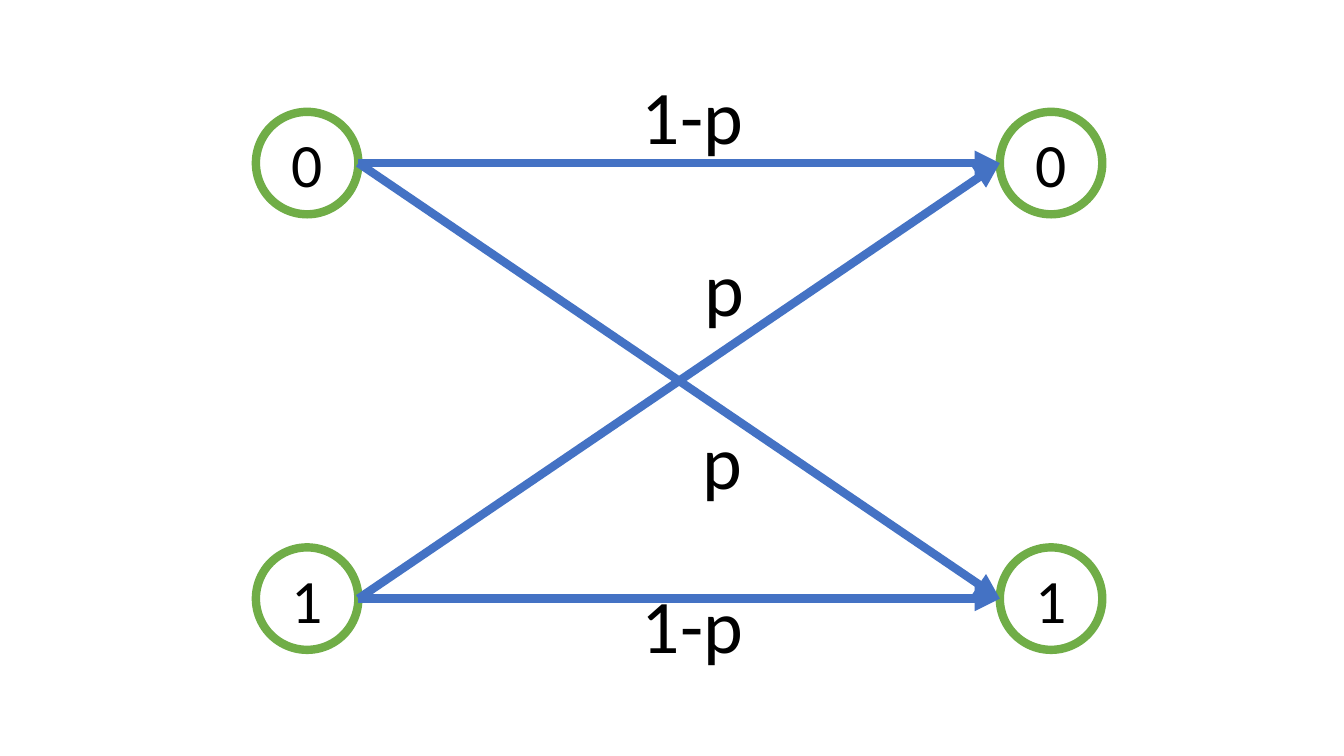
"""Build a slide with the binary symmetric channel diagram."""
from dataclasses import dataclass

from lxml import etree
from pptx import Presentation
from pptx import util as u
from pptx.dml import color
from pptx.enum import shapes, text
from pptx.oxml import ns


@dataclass(frozen=True)
class Theme:
    font: str = "Calibri"
    ink: str = "000000"
    paper: str = "FFFFFF"
    ring: str = "70AD47"
    arrow: str = "4472C4"
    stroke: float = 6
    symbol_size: float = 44
    label_size: float = 54


THEME = Theme()
NODE_SIZE = 73.2
INPUT_LEFT, OUTPUT_LEFT = 182.8, 714.2
SYMBOL_TOPS = {"0": 79.9, "1": 391}
LABEL_HEIGHT = 72.7
LABELS = [
    ("1-p", 451.4, 45.4, 87.8),
    ("1-p", 451.4, 409, 87.8),
    ("p", 496.1, 168.5, 43.2),
    ("p", 494.6, 292.3, 43.2),
]


def rgb(value):
    return color.RGBColor.from_string(value)


def style_line(line, shade):
    line.color.rgb = rgb(shade)
    line.width = u.Pt(THEME.stroke)


def write(frame, words, size):
    frame.text = words
    for para in frame.paragraphs:
        for span in para.runs:
            span.font.name = THEME.font
            span.font.size = u.Pt(size)
            span.font.color.rgb = rgb(THEME.ink)


def add_node(page, symbol, left, top):
    node = page.shapes.add_shape(
        shapes.MSO_SHAPE.OVAL, u.Pt(left), u.Pt(top), u.Pt(NODE_SIZE), u.Pt(NODE_SIZE)
    )
    node.shadow.inherit = False
    node.fill.solid()
    node.fill.fore_color.rgb = rgb(THEME.paper)
    style_line(node.line, THEME.ring)
    frame = node.text_frame
    frame.vertical_anchor = text.MSO_ANCHOR.MIDDLE
    write(frame, symbol, THEME.symbol_size)
    frame.paragraphs[0].alignment = text.PP_ALIGN.CENTER


def add_arrow(page, start_top, end_top):
    radius = NODE_SIZE / 2
    arrow = page.shapes.add_connector(
        shapes.MSO_CONNECTOR.STRAIGHT,
        u.Pt(INPUT_LEFT + NODE_SIZE),
        u.Pt(start_top + radius),
        u.Pt(OUTPUT_LEFT),
        u.Pt(end_top + radius),
    )
    style_line(arrow.line, THEME.arrow)
    properties = arrow.element.spPr
    outline = properties.find(ns.qn("a:ln"))
    etree.SubElement(outline, ns.qn("a:tailEnd"), type="triangle")
    etree.SubElement(properties, ns.qn("a:effectLst"))


def add_label(page, words, left, top, width):
    box = page.shapes.add_textbox(
        u.Pt(left), u.Pt(top), u.Pt(width), u.Pt(LABEL_HEIGHT)
    )
    box.text_frame.word_wrap = False
    box.text_frame.auto_size = text.MSO_AUTO_SIZE.SHAPE_TO_FIT_TEXT
    write(box.text_frame, words, THEME.label_size)


def main():
    deck = Presentation()
    deck.slide_width, deck.slide_height = u.Pt(960), u.Pt(540)
    page = deck.slides.add_slide(deck.slide_layouts[6])
    for symbol, top in SYMBOL_TOPS.items():
        for left in (INPUT_LEFT, OUTPUT_LEFT):
            add_node(page, symbol, left, top)
    for start_top in SYMBOL_TOPS.values():
        for end_top in SYMBOL_TOPS.values():
            add_arrow(page, start_top, end_top)
    for label in LABELS:
        add_label(page, *label)
    deck.save("out.pptx")


main()
